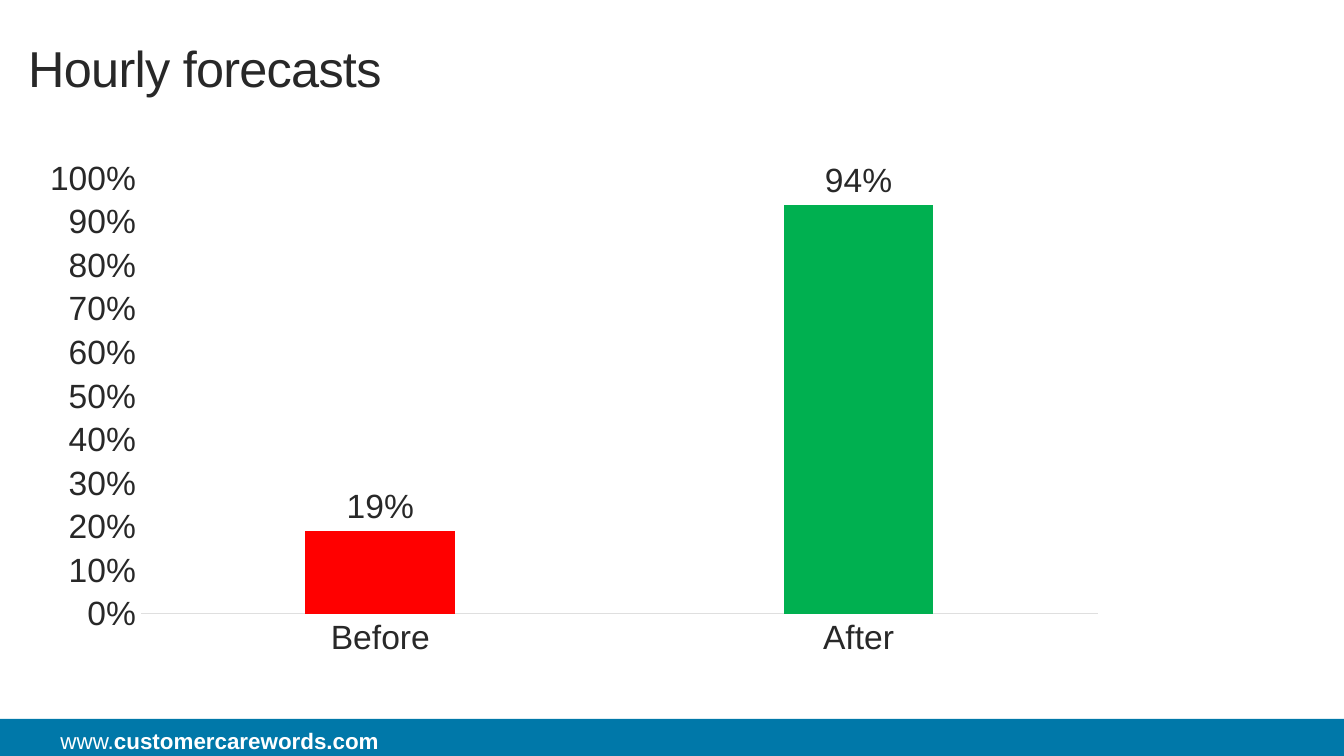
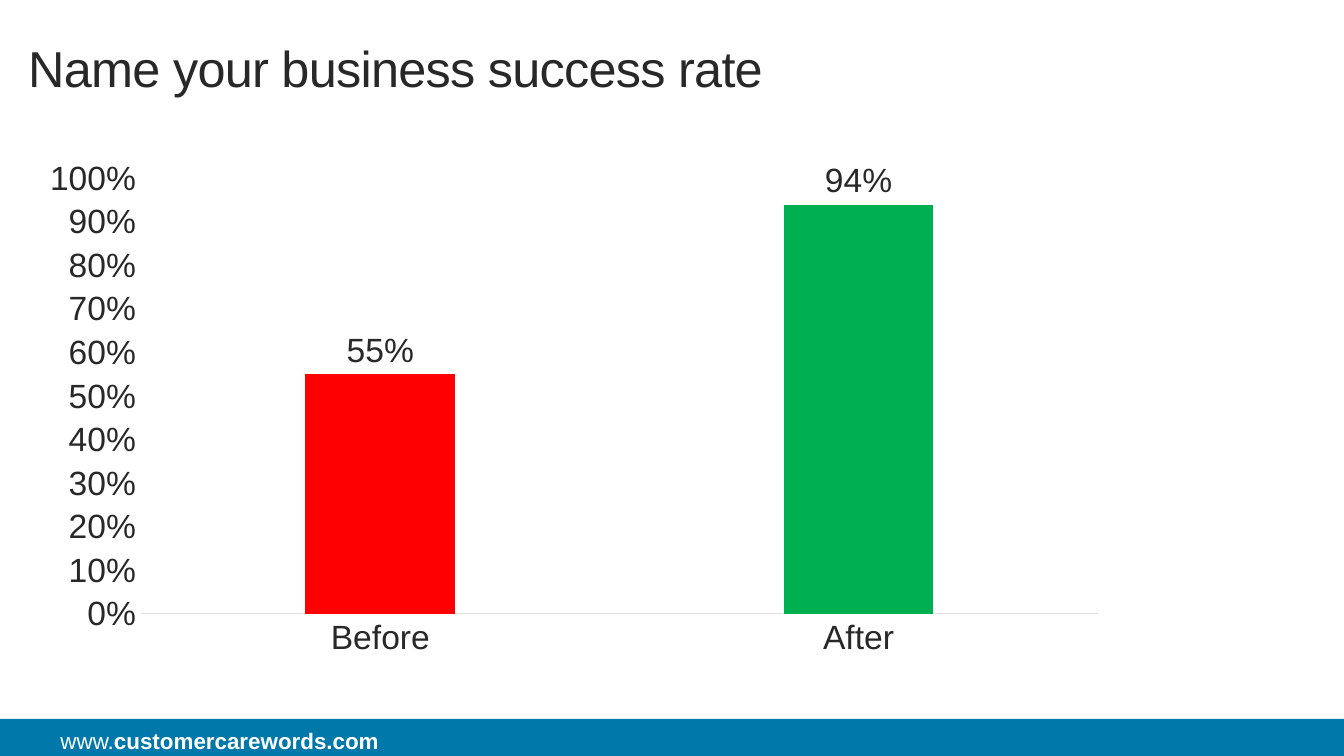
from pptx import Presentation
from pptx.chart.data import CategoryChartData
from pptx.dml.color import RGBColor
from pptx.enum.chart import XL_CHART_TYPE, XL_LABEL_POSITION, XL_TICK_MARK
from pptx.enum.shapes import MSO_SHAPE
from pptx.enum.text import MSO_ANCHOR
from pptx.util import Inches, Pt

INK = RGBColor(0x28, 0x28, 0x28)
WHITE = RGBColor(0xFF, 0xFF, 0xFF)
BLUE = RGBColor(0x00, 0x78, 0xA9)
RED = RGBColor(0xFF, 0x00, 0x00)
GREEN = RGBColor(0x00, 0xB0, 0x50)
AXIS_GREY = RGBColor(0xDF, 0xDF, 0xDF)
FONT = "Arial"

WIDTH = Inches(10)
HEIGHT = WIDTH * 9 // 16

# Left, top, width and height in percent of the slide
TITLE_AREA = (2.1, 0, 81.2, 13)
CHART_AREA = (2.1, 19.75, 81.2, 68.5)
BAND_AREA = (0, 95.1, 100, 4.9)
ADDRESS_AREA = (4.5, 96.2, 55.5, 3.5)

# Title, then the success rates before and after
SLIDES = [
    ("Hourly forecasts", (0.19, 0.94)),
    ("Name your business success rate", (0.55, 0.94)),
]


def place(area):
    """Turn percentages of the slide into lengths."""
    return [round(share * full / 100)
            for share, full in zip(area, (WIDTH, HEIGHT) * 2)]


def set_font(font, size, color, bold=None):
    font.name = FONT
    font.size = Pt(size)
    font.color.rgb = color
    font.bold = bold


def add_text(slide, area, runs, size, color, anchor=MSO_ANCHOR.TOP):
    """Add one paragraph made of (text, bold) runs."""
    tf = slide.shapes.add_textbox(*place(area)).text_frame
    tf.word_wrap = True
    tf.vertical_anchor = anchor
    tf.margin_left = tf.margin_top = tf.margin_right = tf.margin_bottom = 0
    p = tf.paragraphs[0]
    for text, bold in runs:
        r = p.add_run()
        r.text = text
        set_font(r.font, size, color, bold)
    return p


def add_title(slide, title):
    p = add_text(slide, TITLE_AREA, [(title, None)], 27, INK, MSO_ANCHOR.BOTTOM)
    p.line_spacing = 0.9
    p.runs[0].font._element.set("spc", "-40")


def add_footer(slide):
    band = slide.shapes.add_shape(MSO_SHAPE.RECTANGLE, *place(BAND_AREA))
    band.shadow.inherit = False
    band.fill.solid()
    band.fill.fore_color.rgb = BLUE
    band.line.fill.background()
    add_text(slide, ADDRESS_AREA,
             [("www.", None), ("customercarewords.com", True)], 12, WHITE)


def style_axis(axis):
    axis.has_major_gridlines = False
    axis.major_tick_mark = axis.minor_tick_mark = XL_TICK_MARK.NONE
    set_font(axis.tick_labels.font, 18, INK)


def add_rate_chart(slide, rates):
    data = CategoryChartData(number_format="0%")
    data.categories = ["Before", "After"]
    data.add_series("Series 1", rates)
    chart = slide.shapes.add_chart(
        XL_CHART_TYPE.COLUMN_CLUSTERED, *place(CHART_AREA), data).chart
    chart.has_title = chart.has_legend = False
    set_font(chart.font, 10, INK)

    style_axis(chart.category_axis)
    line = chart.category_axis.format.line
    line.color.rgb = AXIS_GREY
    line.width = Pt(0.75)

    axis = chart.value_axis
    style_axis(axis)
    axis.format.line.fill.background()
    axis.minimum_scale, axis.maximum_scale, axis.major_unit = 0, 1, 0.1
    axis.tick_labels.number_format = "0%"
    axis.tick_labels.number_format_is_linked = False

    plot = chart.plots[0]
    plot.gap_width = 219
    plot.overlap = -27
    plot.vary_by_categories = False
    series = plot.series[0]
    series.format.fill.solid()
    series.format.fill.fore_color.rgb = BLUE
    for i, color in enumerate((RED, GREEN)):
        fill = series.points[i].format.fill
        fill.solid()
        fill.fore_color.rgb = color

    labels = series.data_labels
    labels.show_value = True
    labels.position = XL_LABEL_POSITION.OUTSIDE_END
    labels.number_format = "0%"
    labels.number_format_is_linked = False
    set_font(labels.font, 18, INK)


def main():
    prs = Presentation()
    prs.slide_width, prs.slide_height = WIDTH, HEIGHT
    for title, rates in SLIDES:
        slide = prs.slides.add_slide(prs.slide_layouts[6])
        add_footer(slide)
        add_title(slide, title)
        add_rate_chart(slide, rates)
    prs.save("out.pptx")


if __name__ == "__main__":
    main()
